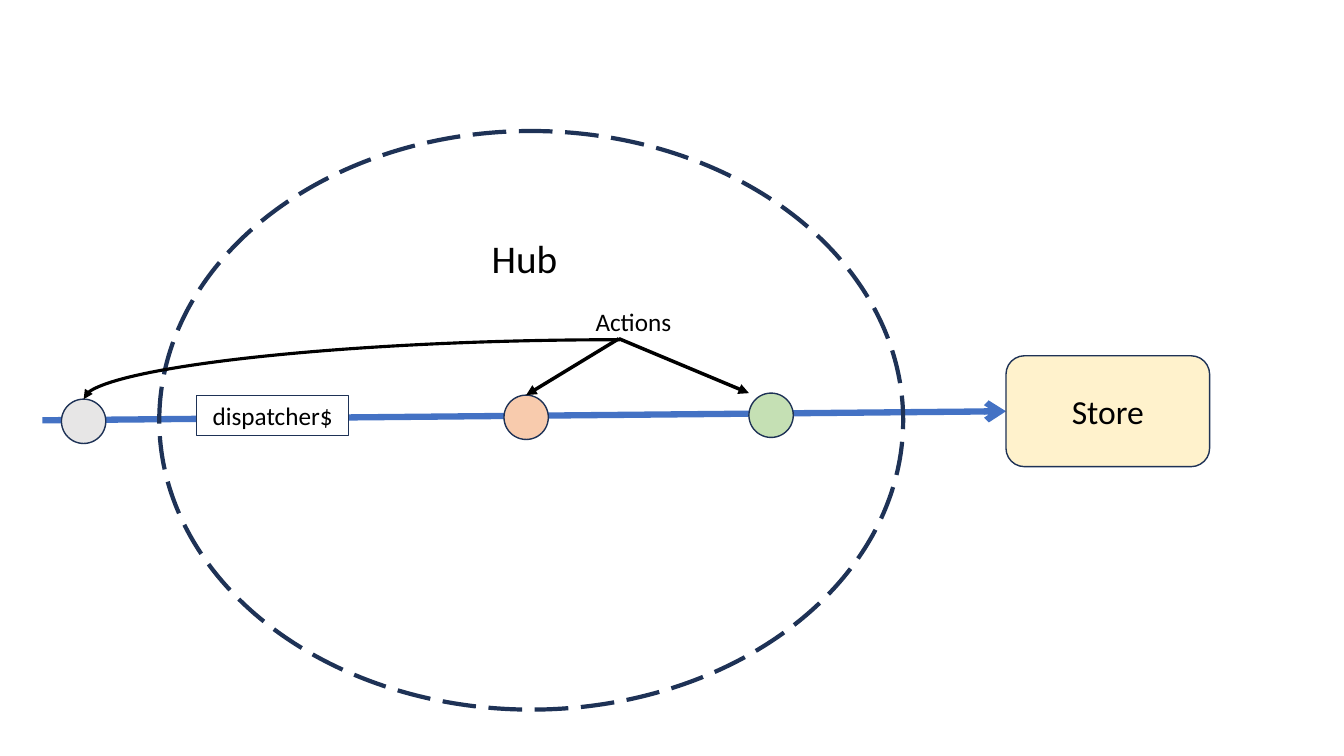
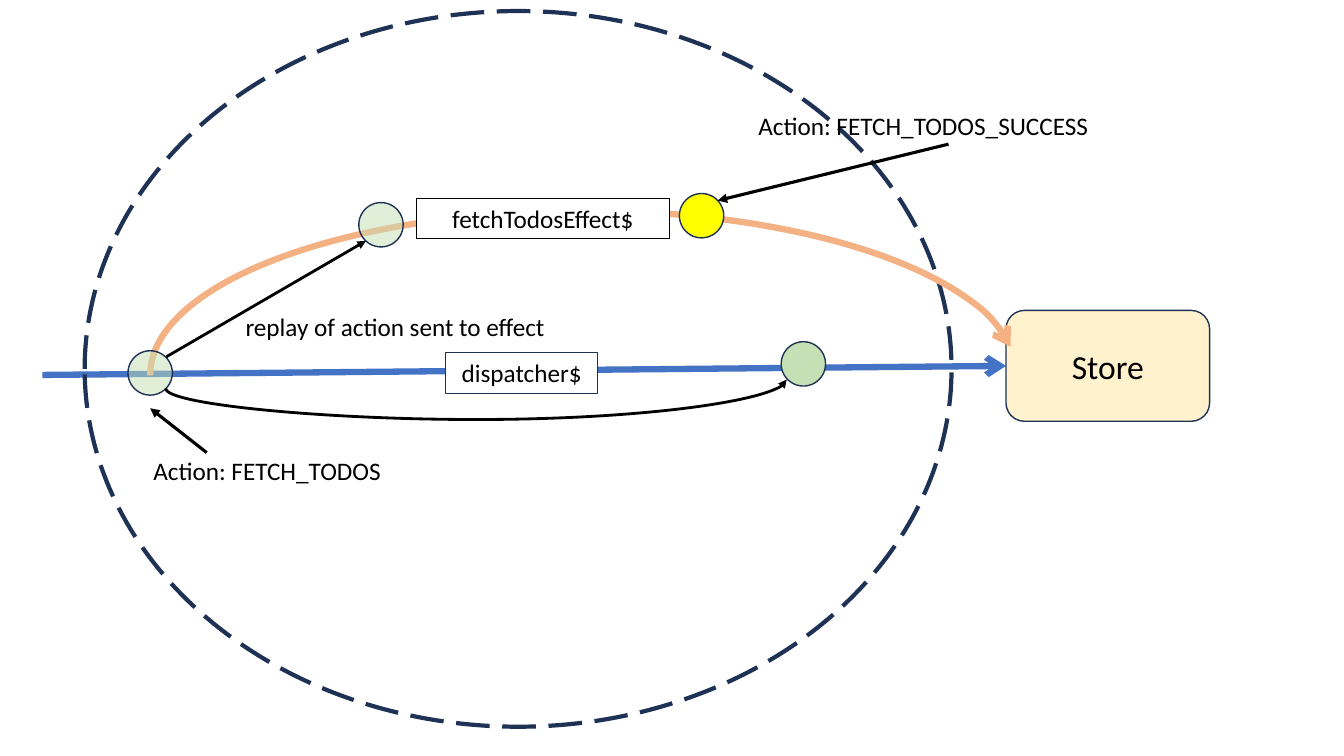
import pptx
import pptx.util
import pptx.dml.color
import pptx.enum.dml
import pptx.enum.shapes
import pptx.enum.text
import pptx.oxml
import pptx.oxml.ns
from dataclasses import dataclass
from lxml import etree

COLS, ROWS = 133.33, 75
CELL = pptx.util.Inches(0.1)
NODE = 4.4
TAG_H = 4
STORE = dict(left=99.8, width=20.2, height=11)
FLOW = dict(start=4.2, rise=0.9)

SHAPE = pptx.enum.shapes.MSO_SHAPE
CONN = pptx.enum.shapes.MSO_CONNECTOR
ALIGN = pptx.enum.text.PP_ALIGN
ANCHOR = pptx.enum.text.MSO_ANCHOR
qn = pptx.oxml.ns.qn


@dataclass(frozen=True)
class Theme:
    font: str = "Calibri"
    ink: str = "000000"
    outline: str = "1E3256"
    flow: str = "4472C4"
    effect: str = "F4B183"
    store: str = "FFF2CC"
    paper: str = "FFFFFF"
    gray: str = "E7E6E6"
    peach: str = "F8CBAD"
    green: str = "C5E0B4"
    yellow: str = "FFFF00"
    body: int = 18
    store_size: int = 24
    hub_size: int = 28
    thin: float = 0.75
    edge: float = 1
    dash: float = 3
    stream: float = 4.5


T = Theme()

SLIDES = [
    dict(
        store_mid=40.8,
        hub=(15.8, 13, 73.8, 57.4),
        arcs=[],
        nodes=[(76.5, 41.2, T.green, 100),
               (52.2, 41.4, T.peach, 100),
               (8.3, 41.8, T.gray, 100)],
        arrows=[(61.4, 33.6, 52.2, 39.2, 2.5),
                (61.4, 33.6, 74.3, 39, 2.5)],
        curves=[dict(ends=(8.3, 39.6, 61.5, 33.7), turn=180,
                     preset="curvedConnector2", bend=None, width=2.25)],
        tags=[("dispatcher$", 19.5, 39.2, 15.1, T.outline)],
        labels=[("Hub", 47.8, 22.8, 9.6, T.hub_size, ALIGN.LEFT),
                ("Actions", 58.1, 29.9, 10.7, T.body, ALIGN.LEFT)],
    ),
    dict(
        store_mid=36.3,
        hub=(8.4, 1.1, 86, 71),
        arcs=[(14.9, 20.9, 86, 32.6, 107.97, 213.73)],
        nodes=[(79.7, 36.1, T.green, 100),
               (37.8, 22.3, T.green, 50),
               (69.6, 21.4, T.yellow, 100),
               (14.9, 37, T.green, 50)],
        arrows=[(16.5, 35.4, 36.3, 23.9, 2),
                (20.5, 44.9, 14.9, 40.5, 2.25),
                (94.1, 14.3, 71.2, 19.9, 2.25)],
        curves=[dict(ends=(47.7, 68.9, 46.8, 7.3), turn=90,
                     preset="curvedConnector3", bend=-3.41, width=2)],
        tags=[("dispatcher$", 44.2, 35, 15.1, T.outline),
              ("fetchTodosEffect$", 41.3, 19.7, 25.1, T.ink)],
        labels=[("replay of action sent to effect", 20.5, 30.4, 37.4, T.body, ALIGN.CENTER),
                ("Action: FETCH_TODOS", 9.3, 44.7, 34.4, T.body, ALIGN.CENTER),
                ("Action: FETCH_TODOS_SUCCESS", 71.3, 10.5, 40.6, T.body, ALIGN.CENTER)],
    ),
]


def grid(*cells):
    return [round(c * CELL) for c in cells]


def rgb(value):
    return pptx.dml.color.RGBColor.from_string(value)


def set_line(sp, color, width, tip=None):
    sp.line.color.rgb = rgb(color)
    sp.line.width = pptx.util.Pt(width)
    if tip:
        etree.SubElement(sp.element.spPr.find(qn("a:ln")), qn("a:tailEnd"), type=tip)


def write(sp, text, size, align):
    tf = sp.text_frame
    tf.word_wrap = True
    tf.text = text
    p = tf.paragraphs[0]
    p.alignment = align
    font = p.runs[0].font
    font.name, font.size, font.color.rgb = T.font, pptx.util.Pt(size), rgb(T.ink)


def add_shape(s, kind, box, fill, color, width, alpha=100, tip=None):
    sp = s.shapes.add_shape(kind, *grid(*box))
    sp.shadow.inherit = False
    if fill:
        sp.fill.solid()
        sp.fill.fore_color.rgb = rgb(fill)
    else:
        sp.fill.background()
    if alpha < 100:
        clr = sp.element.spPr.find(qn("a:solidFill")).find(qn("a:srgbClr"))
        etree.SubElement(clr, qn("a:alpha"), val=str(alpha * 1000))
    set_line(sp, color, width, tip)
    return sp


def add_link(s, kind, ends, color, width, tip):
    sp = s.shapes.add_connector(kind, *grid(*ends))
    set_line(sp, color, width, tip)
    etree.SubElement(sp.element.spPr, qn("a:effectLst"))
    return sp


def add_curve(s, ends, turn, preset, bend, width):
    sp = add_link(s, CONN.CURVE, ends, T.ink, width, "triangle")
    spPr = sp.element.spPr
    spPr.find(qn("a:xfrm")).set("rot", str(turn * 60000))
    geom = spPr.find(qn("a:prstGeom"))
    geom.set("prst", preset)
    if bend is not None:
        etree.SubElement(geom.find(qn("a:avLst")), qn("a:gd"),
                         name="adj1", fmla=f"val {round(bend * 100000)}")


def add_text(s, text, left, top, width, size, align):
    sp = s.shapes.add_textbox(*grid(left, top, width, TAG_H))
    write(sp, text, size, align)
    sp.text_frame.auto_size = pptx.enum.text.MSO_AUTO_SIZE.SHAPE_TO_FIT_TEXT
    return sp


def add_tag(s, text, left, top, width, border):
    sp = add_text(s, text, left, top, width, T.body, ALIGN.CENTER)
    sp.fill.solid()
    sp.fill.fore_color.rgb = rgb(T.paper)
    set_line(sp, border, T.thin)


def add_store(s, mid):
    left, width, height = STORE["left"], STORE["width"], STORE["height"]
    add_link(s, CONN.STRAIGHT, (FLOW["start"], mid + FLOW["rise"], left, mid),
             T.flow, T.stream, "arrow")
    sp = add_shape(s, SHAPE.ROUNDED_RECTANGLE, (left, mid - height / 2, width, height),
                   T.store, T.outline, T.edge)
    write(sp, "Store", T.store_size, ALIGN.CENTER)
    sp.text_frame.vertical_anchor = ANCHOR.MIDDLE


def build(prs, d):
    s = prs.slides.add_slide(prs.slide_layouts[6])
    add_store(s, d["store_mid"])
    hub = add_shape(s, SHAPE.OVAL, d["hub"], None, T.outline, T.dash)
    hub.line.dash_style = pptx.enum.dml.MSO_LINE.LONG_DASH
    for *box, start, end in d["arcs"]:
        arc = add_shape(s, SHAPE.ARC, box, None, T.effect, T.stream, tip="arrow")
        arc.adjustments[0], arc.adjustments[1] = start, end
    for x, y, fill, alpha in d["nodes"]:
        add_shape(s, SHAPE.OVAL, (x - NODE / 2, y - NODE / 2, NODE, NODE),
                  fill, T.outline, T.edge, alpha)
    for *ends, width in d["arrows"]:
        add_link(s, CONN.STRAIGHT, ends, T.ink, width, "triangle")
    for curve in d["curves"]:
        add_curve(s, **curve)
    for label in d["labels"]:
        add_text(s, *label)
    for tag in d["tags"]:
        add_tag(s, *tag)


prs = pptx.Presentation()
prs.slide_width, prs.slide_height = grid(COLS, ROWS)
for slide in SLIDES:
    build(prs, slide)
prs.save("out.pptx")
